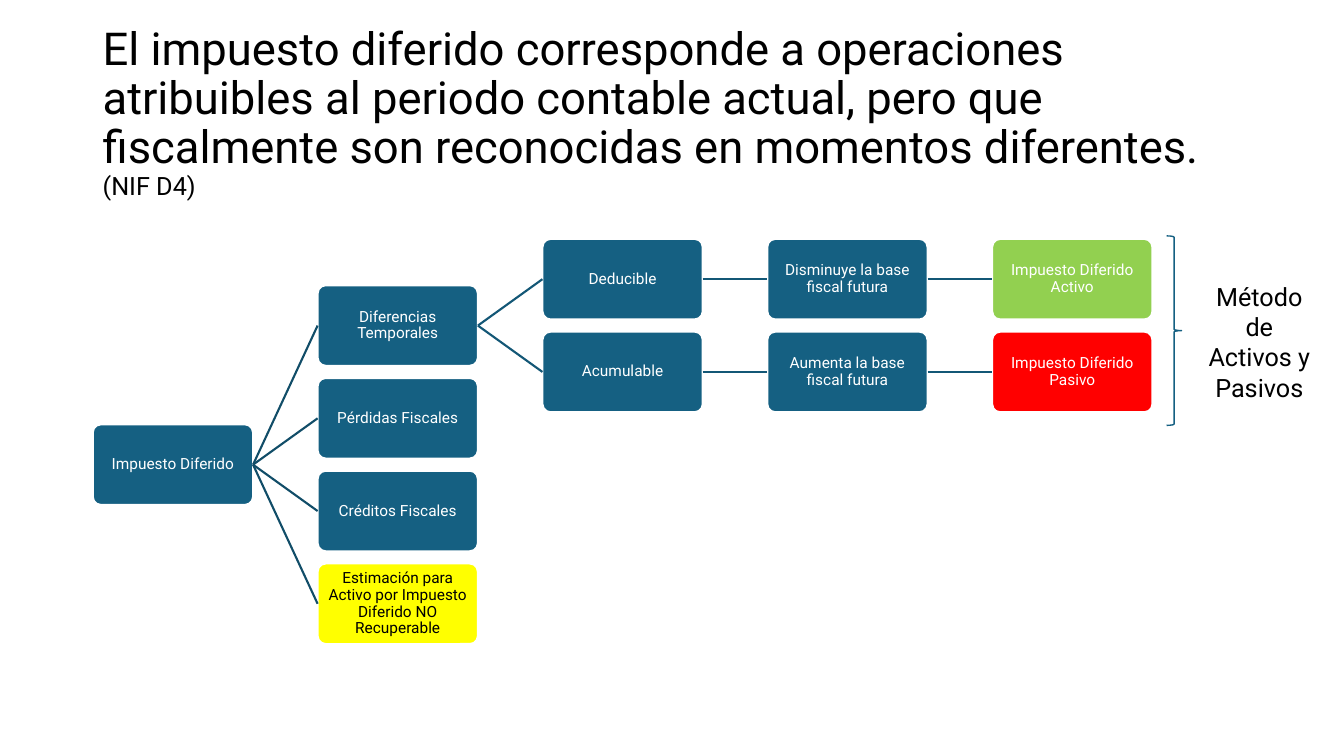
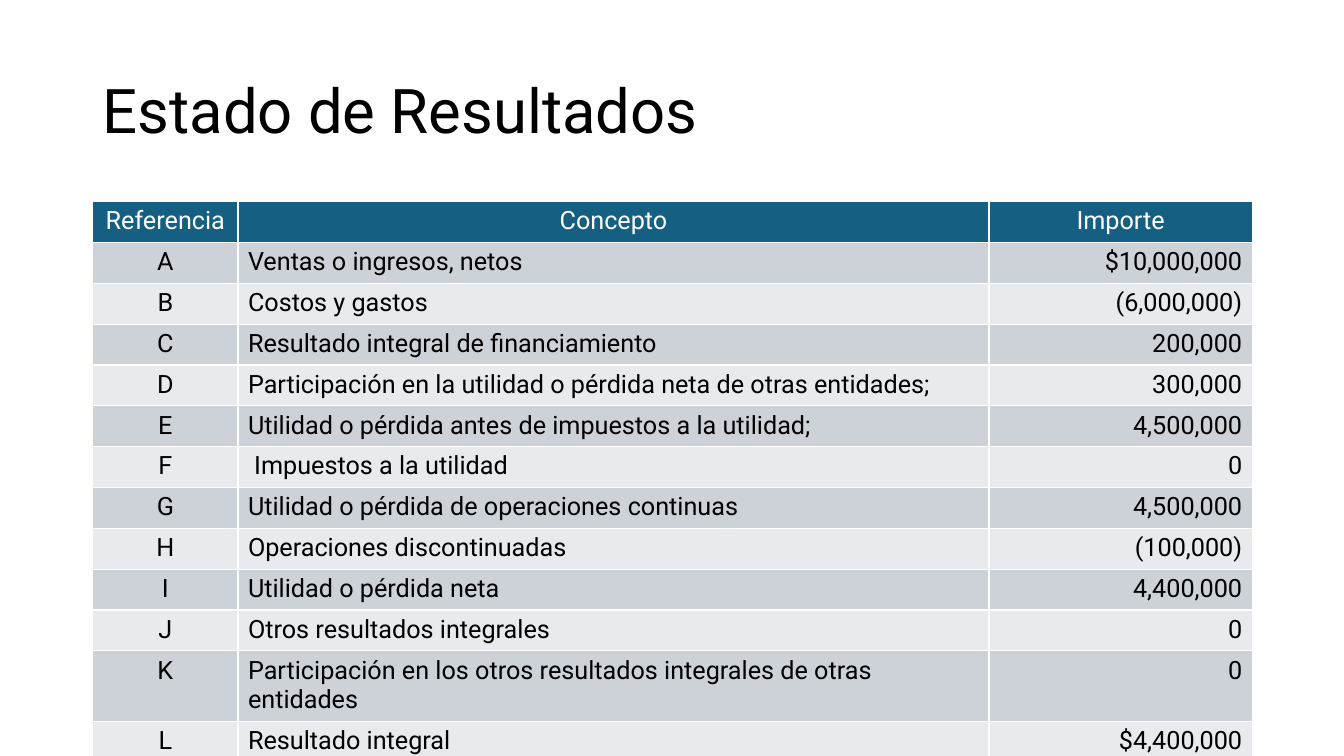
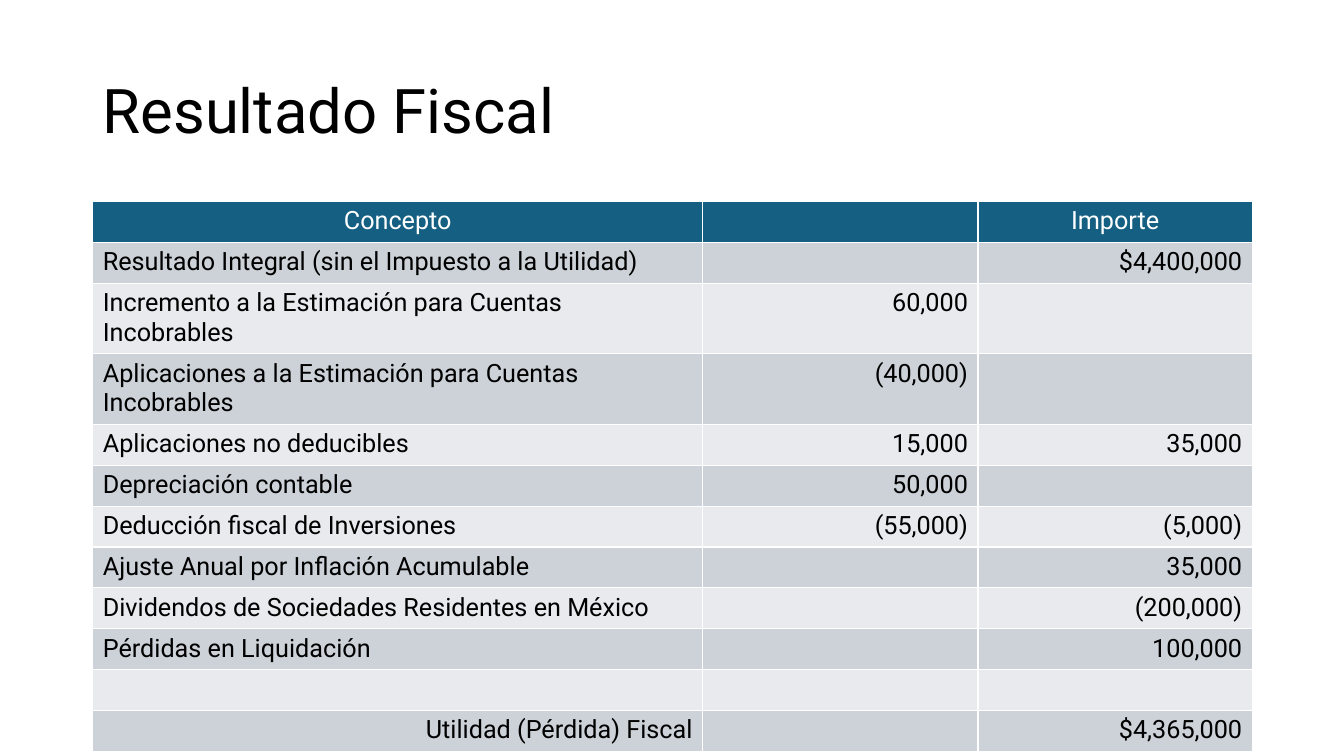
from dataclasses import dataclass

from lxml import etree
from pptx import Presentation
from pptx.dml.color import RGBColor
from pptx.enum.shapes import MSO_CONNECTOR as CONN, MSO_SHAPE as SHAPE
from pptx.enum.text import MSO_ANCHOR as ANCHOR, PP_ALIGN as ALIGN
from pptx.oxml.ns import qn
from pptx.util import Inches, Pt


@dataclass(frozen=True)
class Theme:
    font: str = "Roboto"
    primary: str = "156082"
    root_link: str = "114D68"
    child_link: str = "135776"
    asset: str = "92D050"
    liability: str = "FF0000"
    warning: str = "FFFF00"
    band_dark: str = "CCD2D8"
    band_light: str = "E8EAED"
    white: str = "FFFFFF"
    black: str = "000000"
    title_size: float = 44
    long_title_size: float = 32.4
    body_size: float = 18
    node_size: float = 11


T = Theme()
LEFT, CONTENT_W = 0.92, 11.5
NODE_W, NODE_H = 1.59, 0.8
TREE_TOP, COL_STEP, HALF_ROW = 2.37, 2.23, 0.46
ROW_H = Inches(5.27) // 13

# key: (text, column, half-row, fill, parent)
NODES = {
    "root": ("Impuesto Diferido", 0, 4, T.primary, None),
    "temporary": ("Diferencias Temporales", 1, 1, T.primary, "root"),
    "losses": ("Pérdidas Fiscales", 1, 3, T.primary, "root"),
    "credits": ("Créditos Fiscales", 1, 5, T.primary, "root"),
    "allowance": ("Estimación para Activo por Impuesto Diferido NO Recuperable",
                  1, 7, T.warning, "root"),
    "deductible": ("Deducible", 2, 0, T.primary, "temporary"),
    "decrease": ("Disminuye la base fiscal futura", 3, 0, T.primary, "deductible"),
    "asset": ("Impuesto Diferido Activo", 4, 0, T.asset, "decrease"),
    "taxable": ("Acumulable", 2, 2, T.primary, "temporary"),
    "increase": ("Aumenta la base fiscal futura", 3, 2, T.primary, "taxable"),
    "liability": ("Impuesto Diferido Pasivo", 4, 2, T.liability, "increase"),
}

INCOME_STATEMENT = [
    ("Referencia", "Concepto", "Importe"),
    ("A", "Ventas o ingresos, netos", "$10,000,000"),
    ("B", "Costos y gastos", "(6,000,000)"),
    ("C", "Resultado integral de financiamiento", "200,000"),
    ("D", "Participación en la utilidad o pérdida neta de otras entidades;", "300,000"),
    ("E", "Utilidad o pérdida antes de impuestos a la utilidad;", "4,500,000"),
    ("F", " Impuestos a la utilidad", "0"),
    ("G", "Utilidad o pérdida de operaciones continuas", "4,500,000"),
    ("H", "Operaciones discontinuadas", "(100,000)"),
    ("I", "Utilidad o pérdida neta", "4,400,000"),
    ("J", "Otros resultados integrales", "0"),
    ("K", "Participación en los otros resultados integrales de otras entidades", "0"),
    ("L", "Resultado integral", "$4,400,000"),
]

TAX_RESULT = [
    ("Concepto", "", "Importe"),
    ("Resultado Integral (sin el Impuesto a la Utilidad)", "", "$4,400,000"),
    ("Incremento a la Estimación para Cuentas Incobrables", "60,000", ""),
    ("Aplicaciones a la Estimación para Cuentas Incobrables", "(40,000)", ""),
    ("Aplicaciones no deducibles", "15,000", "35,000"),
    ("Depreciación contable", "50,000", ""),
    ("Deducción fiscal de Inversiones", "(55,000)", "(5,000)"),
    ("Ajuste Anual por Inflación Acumulable", "", "35,000"),
    ("Dividendos de Sociedades Residentes en México", "", "(200,000)"),
    ("Pérdidas en Liquidación", "", "100,000"),
    ("", "", ""),
    ("Utilidad (Pérdida) Fiscal", "", "$4,365,000"),
]


def rgb(color):
    return RGBColor.from_string(color)


def style_font(font, size, color):
    font.name, font.size, font.bold = T.font, Pt(size), False
    font.color.rgb = rgb(color)


def add_text(slide, box, runs, align=ALIGN.LEFT, anchor=ANCHOR.TOP, spacing=1.0):
    """Add one paragraph made of (text, size) runs."""
    tf = slide.shapes.add_textbox(*map(Inches, box)).text_frame
    tf.word_wrap, tf.vertical_anchor = True, anchor
    p = tf.paragraphs[0]
    p.alignment, p.line_spacing = align, spacing
    for text, size in runs:
        r = p.add_run()
        r.text = text
        style_font(r.font, size, T.black)


def add_slide(prs, *title_runs):
    slide = prs.slides.add_slide(prs.slide_layouts[6])
    add_text(slide, (LEFT, 0.4, CONTENT_W, 1.45), title_runs,
             anchor=ANCHOR.MIDDLE, spacing=0.9)
    return slide


def add_node(slide, text, col, half_row, fill):
    sp = slide.shapes.add_shape(
        SHAPE.ROUNDED_RECTANGLE, Inches(LEFT + col * COL_STEP),
        Inches(TREE_TOP + half_row * HALF_ROW), Inches(NODE_W), Inches(NODE_H))
    sp.adjustments[0] = 0.1
    sp.shadow.inherit = False
    sp.fill.solid()
    sp.fill.fore_color.rgb = rgb(fill)
    sp.line.color.rgb = rgb(T.white)
    sp.line.width = Pt(1.5)
    tf = sp.text_frame
    tf.word_wrap, tf.vertical_anchor = True, ANCHOR.MIDDLE
    tf.margin_left = tf.margin_right = tf.margin_top = tf.margin_bottom = Inches(0.03)
    tf.text = text
    p = tf.paragraphs[0]
    p.alignment, p.line_spacing = ALIGN.CENTER, 0.9
    style_font(p.runs[0].font, T.node_size, T.black if fill == T.warning else T.white)
    return sp


def add_link(slide, parent, child, color):
    link = slide.shapes.add_connector(CONN.STRAIGHT, 0, 0, 0, 0)
    link.begin_connect(parent, 3)
    link.end_connect(child, 1)
    link.line.color.rgb = rgb(color)
    link.line.width = Pt(1.5)
    etree.SubElement(link._element.spPr, qn("a:effectLst"))


def add_tree(slide):
    boxes = {}
    for key, (text, col, half_row, fill, parent) in NODES.items():
        boxes[key] = add_node(slide, text, col, half_row, fill)
        if parent:
            color = T.root_link if parent == "root" else T.child_link
            add_link(slide, boxes[parent], boxes[key], color)


def add_brace(slide, box):
    sp = slide.shapes.add_shape(SHAPE.RIGHT_BRACE, *map(Inches, box))
    sp.shadow.inherit = False
    sp.fill.background()
    sp.line.color.rgb = rgb(T.primary)
    sp.line.width = Pt(1)


def add_banded_table(slide, rows, widths, aligns):
    table = slide.shapes.add_table(
        len(rows), len(widths), Inches(LEFT), Inches(2),
        Inches(CONTENT_W), ROW_H * len(rows)).table
    for column, width in zip(table.columns, widths):
        column.width = Inches(width)
    for i, row in enumerate(rows):
        if i == 0:
            fill, color = T.primary, T.white
        else:
            fill, color = (T.band_dark if i % 2 else T.band_light), T.black
        for j, text in enumerate(row):
            cell = table.cell(i, j)
            cell.fill.solid()
            cell.fill.fore_color.rgb = rgb(fill)
            cell.text = text
            p = cell.text_frame.paragraphs[0]
            p.alignment = aligns[j] if i else ALIGN.CENTER
            for r in p.runs:
                style_font(r.font, T.body_size, color)
    return table


def deferred_tax_slide(prs):
    slide = add_slide(
        prs,
        ("El impuesto diferido corresponde a operaciones atribuibles al periodo "
         "contable actual, pero que fiscalmente son reconocidas en momentos "
         "diferentes. ", T.long_title_size),
        ("(NIF D4)", T.body_size))
    add_tree(slide)
    add_brace(slide, (11.57, 2.34, 0.15, 1.88))
    add_text(slide, (11.85, 2.74, 1.28, 1.29),
             [("Método de Activos y Pasivos", T.body_size)], ALIGN.CENTER)


def income_statement_slide(prs):
    slide = add_slide(prs, ("Estado de Resultados", T.title_size))
    add_banded_table(slide, INCOME_STATEMENT, (1.44, 7.45, 2.61),
                     (ALIGN.CENTER, ALIGN.LEFT, ALIGN.RIGHT))


def tax_result_slide(prs):
    slide = add_slide(prs, ("Resultado Fiscal", T.title_size))
    table = add_banded_table(slide, TAX_RESULT, (6.05, 2.73, 2.72),
                             (ALIGN.LEFT, ALIGN.RIGHT, ALIGN.RIGHT))
    total = table.cell(len(TAX_RESULT) - 1, 0)
    total.text_frame.paragraphs[0].alignment = ALIGN.RIGHT


def main():
    prs = Presentation()
    prs.slide_width, prs.slide_height = Inches(13.33), Inches(7.5)
    deferred_tax_slide(prs)
    income_statement_slide(prs)
    tax_result_slide(prs)
    prs.save("out.pptx")


if __name__ == "__main__":
    main()
